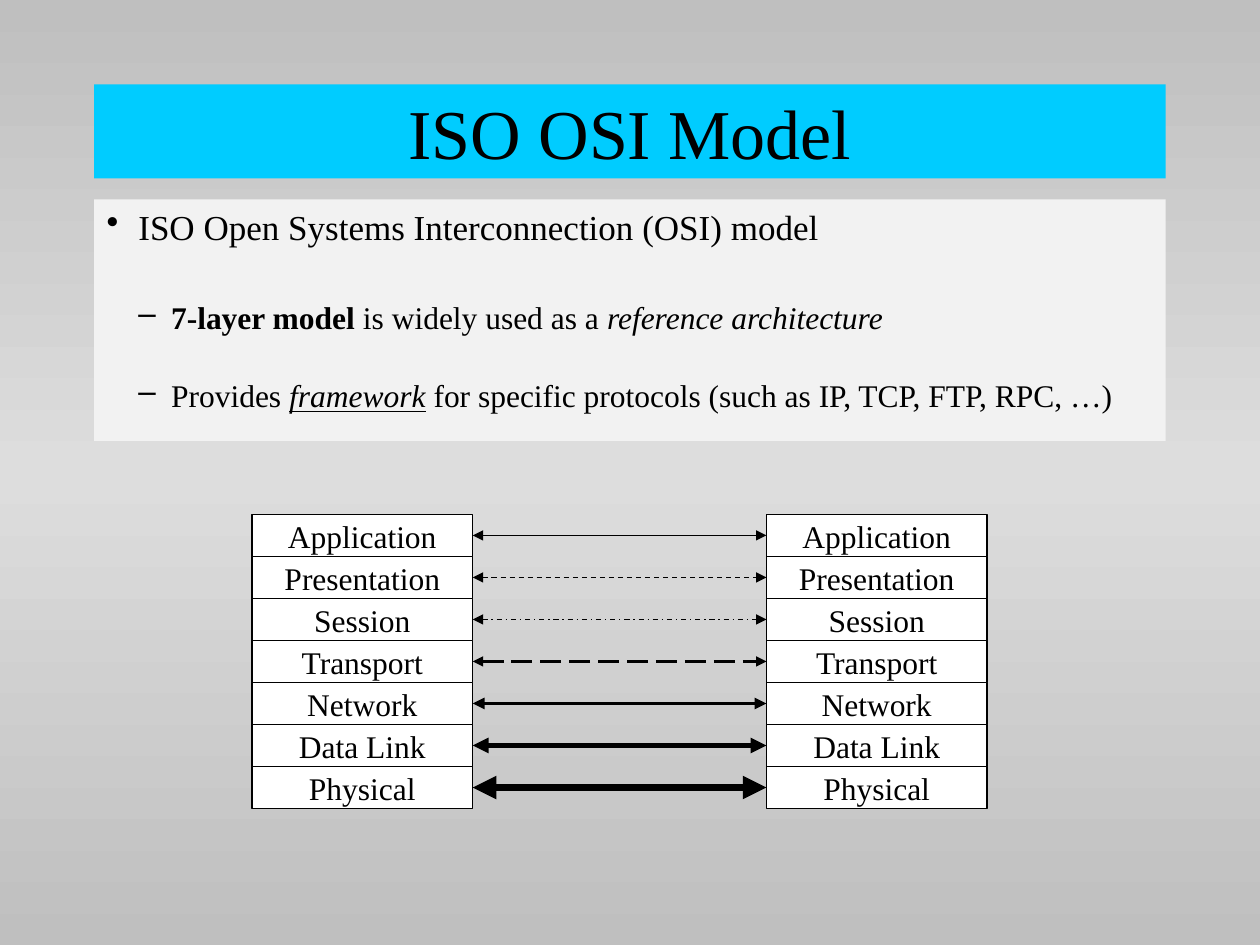
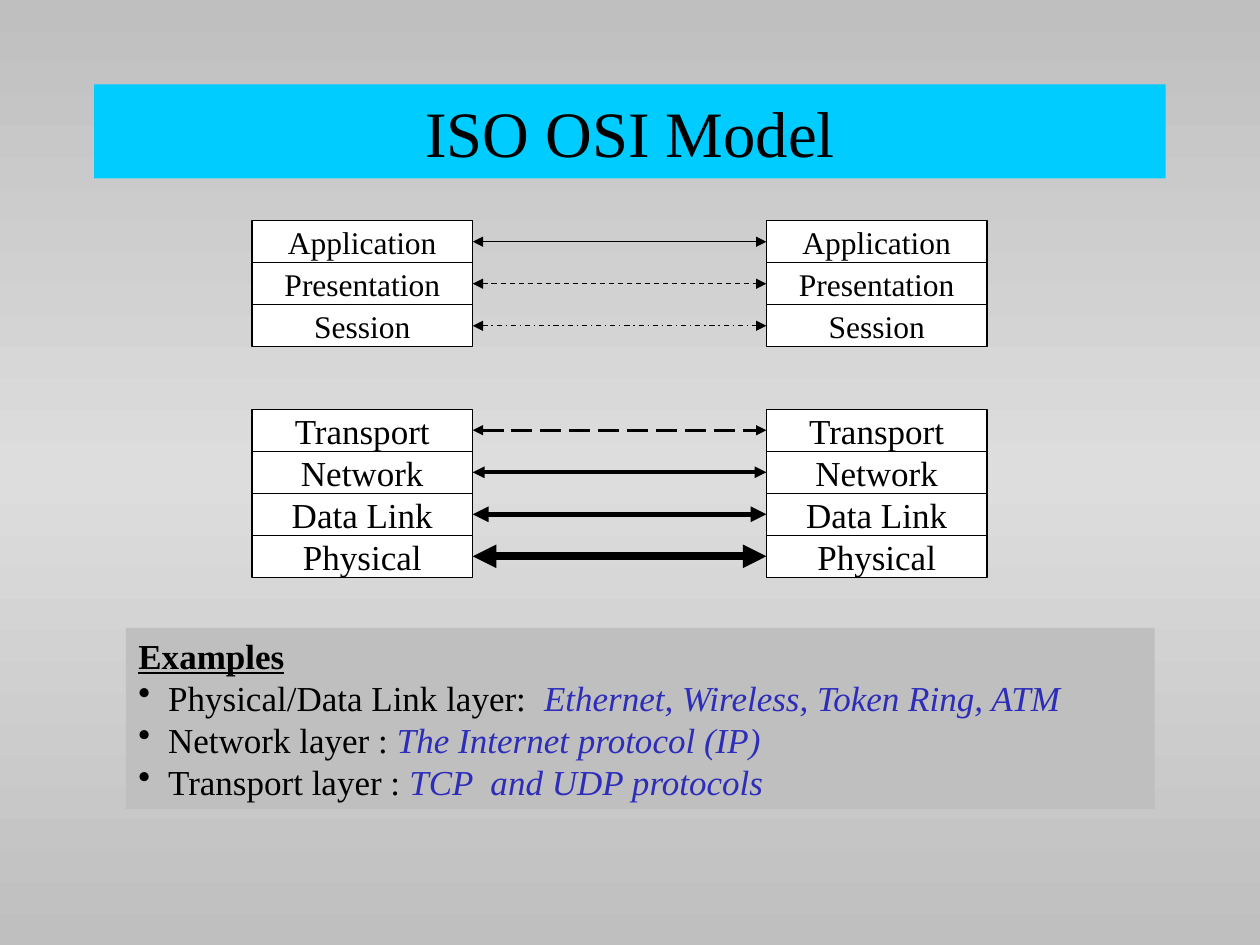
from copy import deepcopy
from dataclasses import dataclass
from typing import Optional

from pptx import Presentation
from pptx.dml.color import RGBColor
from pptx.enum.dml import MSO_LINE
from pptx.enum.shapes import MSO_CONNECTOR, MSO_SHAPE
from pptx.enum.text import MSO_ANCHOR, PP_ALIGN
from pptx.oxml.ns import qn
from pptx.util import Cm, Pt
from lxml.etree import SubElement

FONT = "Times New Roman"
BLACK, WHITE, CYAN, BLUE = "000000", "FFFFFF", "00CCFF", "2D2DB9"
PALE, SILVER, MIST = "F2F2F2", "BFBFBF", "DDDDDD"
LAYER_W, LAYER_H = 4.45, 0.847
HOST_LEFTS = (5.08, 15.45)


@dataclass(frozen=True)
class Layer:
    """One protocol layer and the line that links its two peers."""
    name: str
    width: float = 0.75
    dash: Optional[MSO_LINE] = None


@dataclass(frozen=True)
class Span:
    """A piece of text with one format."""
    text: str
    bold: bool = False
    italic: bool = False
    underline: bool = False
    color: str = BLACK


@dataclass(frozen=True)
class Para:
    """A paragraph with its bullet, indent in cm and space before in points."""
    spans: tuple[Span, ...]
    size: float = 20
    bullet: str = ""
    left: float = 0
    hang: float = 0
    before: float = 0
    level: int = 0


UPPER_LAYERS = (
    Layer("Application"),
    Layer("Presentation", dash=MSO_LINE.DASH),
    Layer("Session", dash=MSO_LINE.DASH_DOT),
)
LOWER_LAYERS = (
    Layer("Transport", 1.5, MSO_LINE.LONG_DASH),
    Layer("Network", 2.25),
    Layer("Data Link", 3),
    Layer("Physical", 4.5),
)
OVERVIEW = (
    Para((Span("ISO Open Systems Interconnection (OSI) model"),),
         bullet="•", left=0.64, hang=0.64, before=5),
    Para((Span("7-layer model ", bold=True), Span("is widely used as a "),
          Span("reference architecture", italic=True)),
         size=18, bullet="–", left=1.3, hang=0.66, before=29, level=1),
    Para((Span("Provides "), Span("framework", italic=True, underline=True),
          Span(" for specific protocols (such as IP, TCP, FTP, RPC, …)")),
         size=18, bullet="–", left=1.3, hang=0.66, before=23, level=1),
)
EXAMPLES = (
    ("Physical/Data Link layer:  ", "Ethernet, Wireless, Token Ring, ATM"),
    ("Network layer : ", "The Internet protocol (IP)"),
    ("Transport layer : ", "TCP  and UDP protocols"),
)


def rgb(value: str) -> RGBColor:
    """Turn a hex string into a colour."""
    return RGBColor.from_string(value)


def add_run(p, text: str, *, size: float, color: str = BLACK, bold: bool = False,
            italic: bool = False, underline: bool = False) -> None:
    """Add formatted text to a paragraph."""
    r = p.add_run()
    r.text = text
    f = r.font
    f.name, f.size, f.color.rgb = FONT, Pt(size), rgb(color)
    f.bold, f.italic, f.underline = bold, italic, underline


def add_box(s, left: float, top: float, width: float, height: float, fill: str,
            line: Optional[str] = None):
    """Add a flat rectangle, placed in cm."""
    sp = s.shapes.add_shape(MSO_SHAPE.RECTANGLE, Cm(left), Cm(top), Cm(width), Cm(height))
    sp.shadow.inherit = False
    sp.fill.solid()
    sp.fill.fore_color.rgb = rgb(fill)
    if line:
        sp.line.color.rgb = rgb(line)
        sp.line.width = Pt(0.75)
    else:
        sp.line.fill.background()
    return sp


def add_label(sp, text: str, size: float, wrap: bool) -> None:
    """Centre one line of text in a shape."""
    tf = sp.text_frame
    tf.word_wrap = wrap
    tf.vertical_anchor = MSO_ANCHOR.MIDDLE
    p = tf.paragraphs[0]
    p.alignment = PP_ALIGN.CENTER
    add_run(p, text, size=size)


def add_paras(sp, paras: tuple[Para, ...]) -> None:
    """Fill a shape with left-aligned paragraphs."""
    tf = sp.text_frame
    tf.word_wrap = True
    tf.vertical_anchor = MSO_ANCHOR.TOP
    for i, para in enumerate(paras):
        p = tf.add_paragraph() if i else tf.paragraphs[0]
        p.alignment = PP_ALIGN.LEFT
        p.level = para.level
        p.space_before = Pt(para.before)
        pPr = p._p.get_or_add_pPr()
        pPr.set("marL", str(Cm(para.left)))
        pPr.set("indent", str(-Cm(para.hang)))
        if para.bullet:
            SubElement(SubElement(pPr, qn("a:buClr")), qn("a:srgbClr"), val=BLACK)
            SubElement(pPr, qn("a:buChar"), char=para.bullet)
        for span in para.spans:
            add_run(p, span.text, size=para.size, color=span.color, bold=span.bold,
                    italic=span.italic, underline=span.underline)


def link_peers(s, a, b, layer: Layer) -> None:
    """Join two peer boxes with a double-headed arrow."""
    c = s.shapes.add_connector(MSO_CONNECTOR.STRAIGHT, 0, 0, 0, 0)
    c.begin_connect(a, 3)
    c.end_connect(b, 1)
    c.line.color.rgb = rgb(BLACK)
    c.line.width = Pt(layer.width)
    if layer.dash:
        c.line.dash_style = layer.dash
    spPr = c.element.find(qn("p:spPr"))
    ln = spPr.find(qn("a:ln"))
    for end in ("a:headEnd", "a:tailEnd"):
        SubElement(ln, qn(end), type="triangle")
    SubElement(spPr, qn("a:effectLst"))


def add_stacks(s, layers: tuple[Layer, ...], top: float, size: float = 18) -> None:
    """Draw the layers of both hosts and link the peers."""
    for i, layer in enumerate(layers):
        peers = [add_box(s, left, top + i * LAYER_H, LAYER_W, LAYER_H, WHITE, BLACK)
                 for left in HOST_LEFTS]
        for sp in peers:
            add_label(sp, layer.name, size, wrap=False)
        link_peers(s, *peers, layer)


def add_slide(prs, title_size: float):
    """Add a slide with the shared gradient and title band."""
    s = prs.slides.add_slide(prs.slide_layouts[6])
    fill = s.background.fill
    fill.gradient()
    fill.gradient_angle = 270
    stops = s.element.find(".//" + qn("a:gsLst"))
    stops.append(deepcopy(stops[0]))
    for stop, pos, color in zip(fill.gradient_stops, (0, 0.5, 1), (SILVER, MIST, SILVER)):
        stop.position = pos
        stop.color.rgb = rgb(color)
    add_label(add_box(s, 1.9, 1.7, 21.6, 1.9, CYAN), "ISO OSI Model", title_size, wrap=True)
    return s


def overview_slide(prs) -> None:
    """Show the seven layers as a whole."""
    s = add_slide(prs, 40)
    add_stacks(s, UPPER_LAYERS + LOWER_LAYERS, 10.37)
    add_paras(add_box(s, 1.9, 4.02, 21.6, 4.87, PALE), OVERVIEW)


def examples_slide(prs) -> None:
    """Show upper and lower layers apart, with protocol examples."""
    s = add_slide(prs, 37)
    add_stacks(s, UPPER_LAYERS, 4.45)
    add_stacks(s, LOWER_LAYERS, 8.25, size=20)
    heading = Para((Span("Examples", bold=True, underline=True),))
    items = tuple(Para((Span(layer), Span(protocols, italic=True, color=BLUE)),
                       bullet="•", left=0.6, hang=0.6) for layer, protocols in EXAMPLES)
    add_paras(add_box(s, 2.54, 12.66, 20.74, 3.65, SILVER), (heading, *items))


def main() -> None:
    """Build and save the deck."""
    prs = Presentation()
    prs.slide_width, prs.slide_height = Cm(25.4), Cm(19.05)
    overview_slide(prs)
    examples_slide(prs)
    prs.save("out.pptx")


if __name__ == "__main__":
    main()
